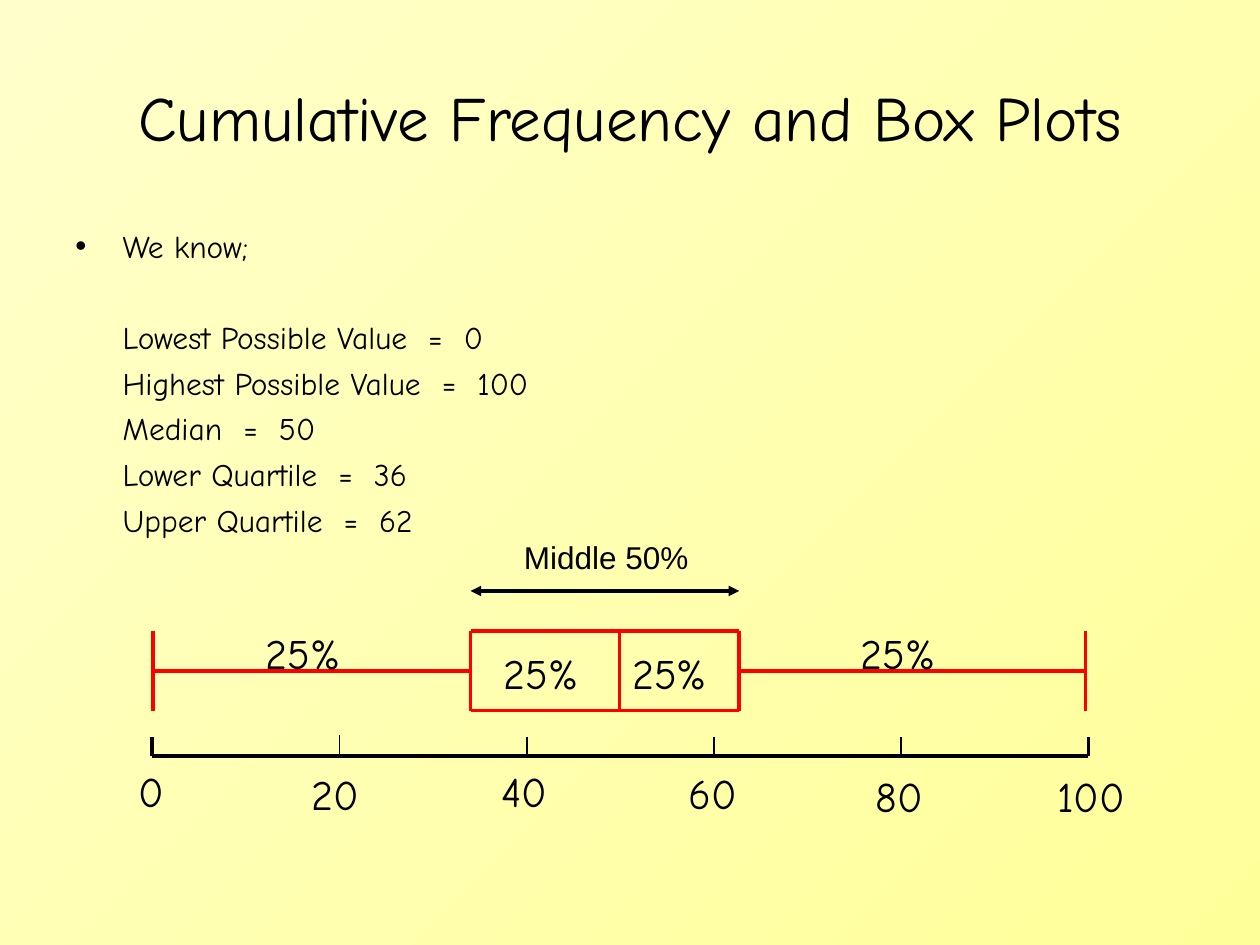
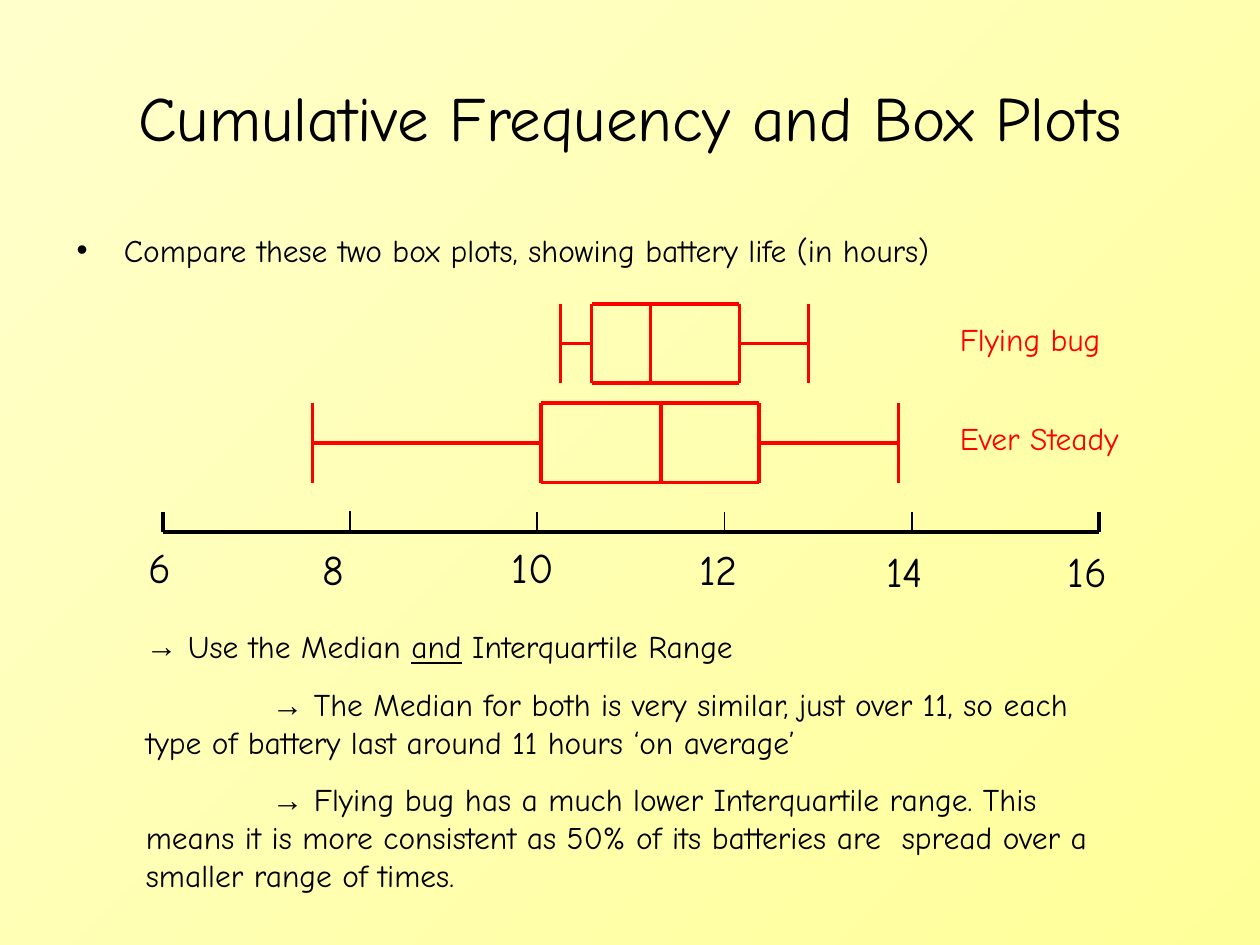
from lxml.etree import SubElement
from pptx import Presentation
from pptx.dml.color import RGBColor
from pptx.enum.shapes import MSO_CONNECTOR
from pptx.enum.text import MSO_ANCHOR, PP_ALIGN
from pptx.oxml.ns import qn
from pptx.util import Pt

COLOURS = {
    "ink": "000000",
    "plot": "FF0000",
    "paper_light": "FFFFCC",
    "paper_deep": "FFFF99",
}
HAND, PLAIN = "Comic Neue", "Arial"
TITLE = "Cumulative Frequency and Box Plots"
TICK_GAP = 107
PLOT_HEIGHT = 45.4
# Left and top offset from the tick's foot, and width, of each scale label
SCALE_LABELS = [(-15, 2, 32), (-23, 3.5, 50), (-21.5, 2, 50),
                (-21.5, 3, 50), (-21.5, 4.5, 50), (-25, 4.5, 63)]


def colour(name):
    return RGBColor.from_string(COLOURS[name])


def add_slide(deck):
    slide = deck.slides.add_slide(deck.slide_layouts[6])
    paper = slide.background.fill
    paper.gradient()
    paper.gradient_angle = 315
    for stop, shade in zip(paper.gradient_stops, ("paper_light", "paper_deep")):
        stop.color.rgb = colour(shade)
    title = add_frame(slide, 36, 21.6, 648, 90)
    title.vertical_anchor = MSO_ANCHOR.MIDDLE
    title.paragraphs[0].alignment = PP_ALIGN.CENTER
    write(title.paragraphs[0], TITLE, size=36)
    return slide


def add_frame(slide, left, top, width, height):
    frame = slide.shapes.add_textbox(Pt(left), Pt(top), Pt(width), Pt(height)).text_frame
    frame.word_wrap = True
    return frame


def write(paragraph, text, size=18, ink="ink", face=HAND):
    paragraph.text = text
    style(paragraph.font, size, ink, face)


def style(font, size=18, ink="ink", face=HAND):
    font.size, font.name = Pt(size), face
    font.color.rgb = colour(ink)


def indent(paragraph, margin, first_line, bullet=None, tab=None):
    properties = paragraph._p.get_or_add_pPr()
    properties.set("marL", str(Pt(margin)))
    properties.set("indent", str(Pt(first_line)))
    if bullet:
        SubElement(properties, qn("a:buFont"), typeface=PLAIN)
        SubElement(properties, qn("a:buChar"), char=bullet)
    if tab:
        stops = SubElement(properties, qn("a:tabLst"))
        SubElement(stops, qn("a:tab"), pos=str(Pt(tab)), algn="l")


def add_label(slide, text, left, top, width, **look):
    write(add_frame(slide, left, top, width, 36).paragraphs[0], text, **look)


def add_line(slide, x1, y1, x2, y2, ink="plot", weight=2, arrows=False):
    line = slide.shapes.add_connector(
        MSO_CONNECTOR.STRAIGHT, Pt(x1), Pt(y1), Pt(x2), Pt(y2))
    line.line.color.rgb = colour(ink)
    line.line.width = Pt(weight)
    if arrows:
        outline = line.line._get_or_add_ln()
        for end in ("a:headEnd", "a:tailEnd"):
            SubElement(outline, qn(end), type="triangle")
    SubElement(line._element.spPr, qn("a:effectLst"))


def add_scale(slide, left, base, values):
    """Draw the number line and return a function from value to x."""
    last = len(values) - 1
    add_line(slide, left, base, left + last * TICK_GAP, base, "ink", 2.25)
    for i, (value, (dx, dy, width)) in enumerate(zip(values, SCALE_LABELS)):
        x = left + i * TICK_GAP
        rise = 12 if i == 1 else 11
        weight = 2.25 if i in (0, last) else 1
        add_line(slide, x, base - rise, x, base, "ink", weight)
        add_label(slide, str(value), x + dx, base + dy, width, size=24)
    step = values[1] - values[0]
    return lambda value: left + (value - values[0]) / step * TICK_GAP


def add_box_plot(slide, position, top, five_numbers):
    lowest, lower, median, upper, highest = map(position, five_numbers)
    middle, bottom = top + PLOT_HEIGHT / 2, top + PLOT_HEIGHT
    for x in (lowest, lower, median, upper, highest):
        add_line(slide, x, top, x, bottom)
    for y in (top, bottom):
        add_line(slide, lower, y, upper, y)
    add_line(slide, lowest, middle, lower, middle)
    add_line(slide, upper, middle, highest, middle)


def add_known_values(slide, left, top):
    frame = add_frame(slide, left, top, 643.7, 356)
    heading = frame.paragraphs[0]
    indent(heading, 27, -27, bullet="•")
    write(heading, "We know;")
    facts = [("Lowest Possible Value", 0), ("Highest Possible Value", 100),
             ("Median", 50), ("Lower Quartile", 36), ("Upper Quartile", 62)]
    for i, (name, value) in enumerate(facts):
        fact = frame.add_paragraph()
        indent(fact, 27, 0)
        fact.space_before = Pt(4.5 if i else 30.5)
        write(fact, f"{name}  =  {value}")


def add_quarter_labels(slide, left, top):
    for dx, dy in ((0, 0), (136, 11.5), (209.5, 11.5), (340, 0)):
        add_label(slide, "25%", left + dx, top + dy, 67.7, size=24)


def add_conclusions(slide, left, top):
    frame = add_frame(slide, left, top, 562, 160)
    advice = frame.paragraphs[0]
    indent(advice, 0, 0, bullet="→")
    for text in (" Use the Median ", "and", " Interquartile Range"):
        run = advice.add_run()
        run.text = text
        if text == "and":
            run.font.underline = True
    style(advice.font)
    findings = [
        " The Median for both is very similar, just over 11, so each "
        "type of battery last around 11 hours ‘on average’",
        " Flying bug has a much lower Interquartile range. This means it is "
        "more consistent as 50% of its batteries are \tspread over a "
        "smaller range of times.",
    ]
    for text in findings:
        finding = frame.add_paragraph()
        indent(finding, 0, 72, tab=432)
        finding.space_before = Pt(11.2)
        for part, face in (("→", PLAIN), (text, HAND)):
            run = finding.add_run()
            run.text = part
            run.font.name = face
        style(finding.font)


def build_quartiles_slide(deck):
    slide = add_slide(deck)
    add_known_values(slide, 36, 126)
    position = add_scale(slide, 87, 432, range(0, 101, 20))
    quartiles = (0.1, 34, 49.9, 62.7, 99.7)
    add_box_plot(slide, position, 360.7, quartiles)
    add_quarter_labels(slide, 144.7, 355)
    add_line(slide, position(quartiles[1]), 337.7, position(quartiles[3]), 337.7,
             "ink", arrows=True)
    add_label(slide, "Middle 50%", 292.3, 303.8, 118.8, face=PLAIN)


def build_comparison_slide(deck):
    slide = add_slide(deck)
    task = add_frame(slide, 36.7, 128.2, 643.7, 356).paragraphs[0]
    indent(task, 27, -27, bullet="•")
    write(task, "Compare these two box plots, showing battery life (in hours)")
    position = add_scale(slide, 93, 303.8, range(6, 17, 2))
    batteries = [
        ("Flying bug", 173.6, (10.25, 10.58, 11.21, 12.16, 12.9)),
        ("Ever Steady", 230.4, (7.6, 10.04, 11.32, 12.37, 13.86)),
    ]
    for name, top, five_numbers in batteries:
        add_box_plot(slide, position, top, five_numbers)
        add_label(slide, name, 541.4, top + 5.7, 118.8, ink="plot")
    add_conclusions(slide, 76.3, 355)


def main():
    deck = Presentation()
    deck.slide_width, deck.slide_height = Pt(720), Pt(540)
    build_quartiles_slide(deck)
    build_comparison_slide(deck)
    deck.save("out.pptx")


if __name__ == "__main__":
    main()
